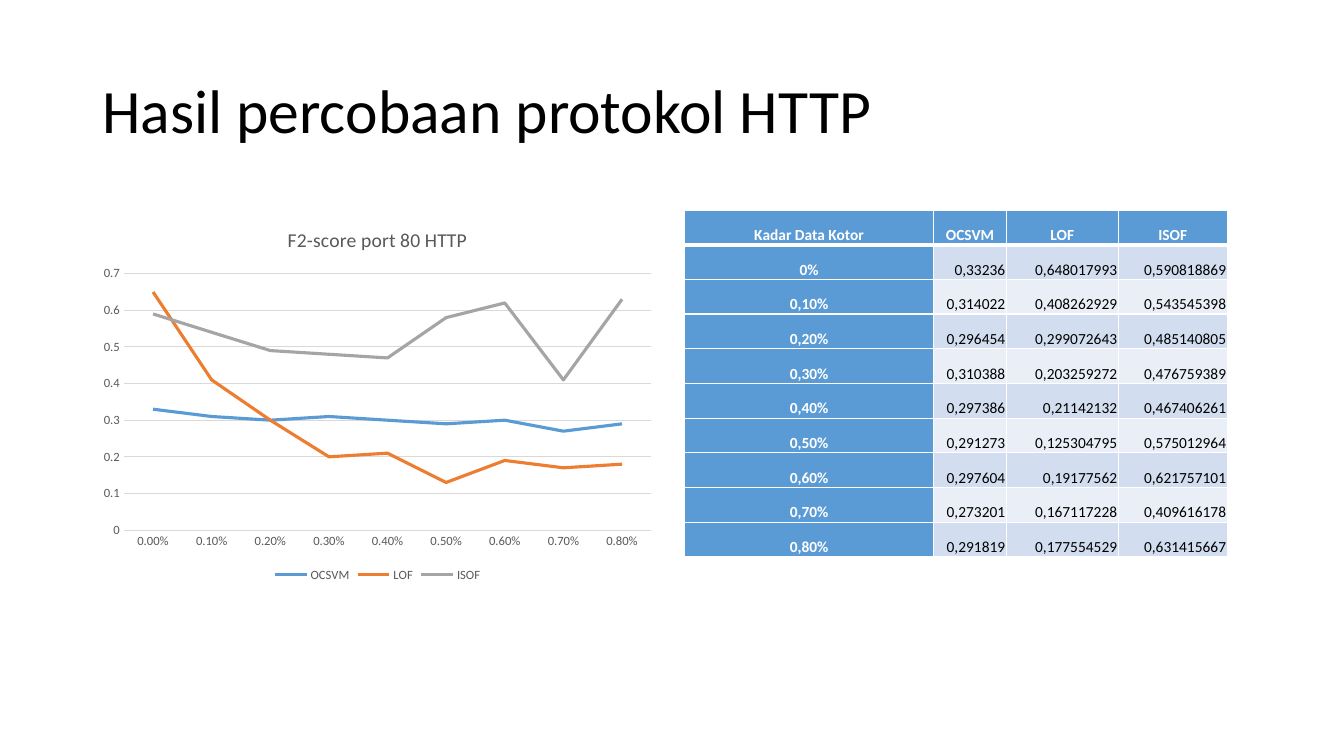
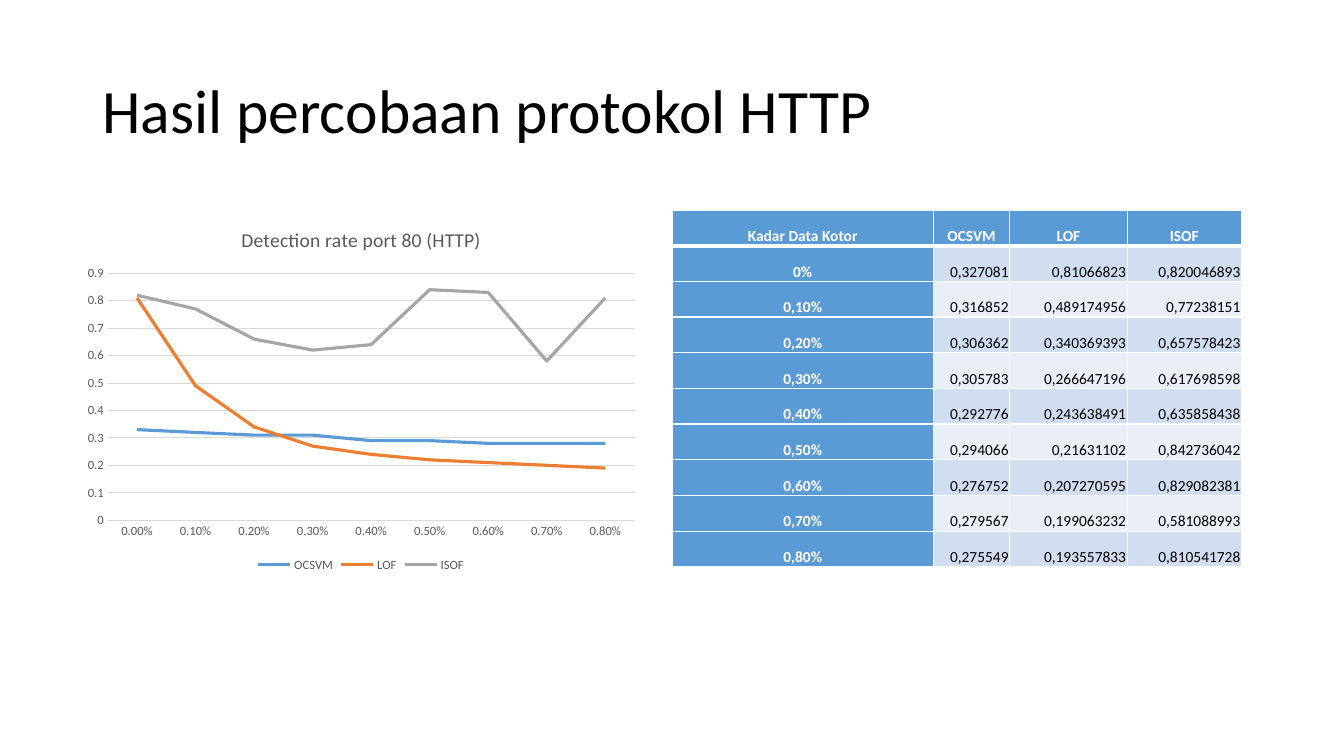
import pptx
import pptx.chart.data
import pptx.dml.color
import pptx.enum.chart
import pptx.enum.text
import pptx.oxml
import pptx.oxml.ns
import pptx.util

RGBColor = pptx.dml.color.RGBColor
BLACK = RGBColor(0x00, 0x00, 0x00)
WHITE = RGBColor(0xFF, 0xFF, 0xFF)
GREY_TEXT = RGBColor(0x59, 0x59, 0x59)
GREY_LINE = RGBColor(0xD9, 0xD9, 0xD9)
BLUE = RGBColor(0x5B, 0x9B, 0xD5)
ORANGE = RGBColor(0xED, 0x7D, 0x31)
GREY = RGBColor(0xA5, 0xA5, 0xA5)
BANDS = (RGBColor(0xD2, 0xDE, 0xEF), RGBColor(0xEA, 0xEF, 0xF7))

FONT = "Calibri"
SLIDE_WIDTH = pptx.util.Inches(13.33)
SLIDE_HEIGHT = pptx.util.Inches(7.5)
GRID_COLUMNS, GRID_ROWS = 160, 90

TITLE = "Hasil percobaan protokol HTTP"
TITLE_BOX = (11, 4.8, 138, 17.4)
METHODS = {"OCSVM": BLUE, "LOF": ORANGE, "ISOF": GREY}
HEADINGS = ("Kadar Data Kotor", *METHODS)
COLUMN_WEIGHTS = (2.47, 0.72, 1.11, 1.08)
LEVELS = ("0%", "0,10%", "0,20%", "0,30%", "0,40%", "0,50%", "0,60%", "0,70%", "0,80%")

# Boxes are left, top, width, height in grid units; scores follow the order of METHODS.
RESULTS = (
    {
        "chart_title": "F2-score port 80 HTTP",
        "chart_box": (11, 25, 67.9, 44.8),
        "table_box": (81.5, 25, 64.6, 41.3),
        "scores": (
            ("0,33236", "0,648017993", "0,590818869"),
            ("0,314022", "0,408262929", "0,543545398"),
            ("0,296454", "0,299072643", "0,485140805"),
            ("0,310388", "0,203259272", "0,476759389"),
            ("0,297386", "0,21142132", "0,467406261"),
            ("0,291273", "0,125304795", "0,575012964"),
            ("0,297604", "0,19177562", "0,621757101"),
            ("0,273201", "0,167117228", "0,409616178"),
            ("0,291819", "0,177554529", "0,631415667"),
        ),
    },
    {
        "chart_title": "Detection rate port 80 (HTTP)",
        "chart_box": (9.1, 25, 67.8, 43.6),
        "table_box": (80, 25, 67.8, 42.5),
        "scores": (
            ("0,327081", "0,81066823", "0,820046893"),
            ("0,316852", "0,489174956", "0,77238151"),
            ("0,306362", "0,340369393", "0,657578423"),
            ("0,305783", "0,266647196", "0,617698598"),
            ("0,292776", "0,243638491", "0,635858438"),
            ("0,294066", "0,21631102", "0,842736042"),
            ("0,276752", "0,207270595", "0,829082381"),
            ("0,279567", "0,199063232", "0,581088993"),
            ("0,275549", "0,193557833", "0,810541728"),
        ),
    },
)


def place(box):
    """Turn a box in grid units into slide lengths."""
    left, top, width, height = box
    across, down = SLIDE_WIDTH / GRID_COLUMNS, SLIDE_HEIGHT / GRID_ROWS
    return [round(length) for length in (left * across, top * down, width * across, height * down)]


def set_values(target, values):
    for name, value in values.items():
        setattr(target, name, value)


def set_font(font, size, color, bold=False):
    set_values(font, {"name": FONT, "size": pptx.util.Pt(size), "bold": bold})
    font.color.rgb = color


def set_line(line, color, width):
    line.color.rgb = color
    line.width = pptx.util.Pt(width)


def to_number(text):
    """Read a decimal-comma number, rounded for plotting; a percentage becomes a fraction."""
    number = float(text.rstrip("%").replace(",", "."))
    return round(number / 100, 3) if text.endswith("%") else round(number, 2)


def add_title(page, box):
    frame = page.shapes.add_textbox(*place(box)).text_frame
    set_values(frame, {"word_wrap": True, "vertical_anchor": pptx.enum.text.MSO_ANCHOR.MIDDLE})
    para = frame.paragraphs[0]
    para.line_spacing = 0.9
    span = para.add_run()
    span.text = TITLE
    set_font(span.font, 44, BLACK)


def add_score_chart(page, box, title, scores):
    data = pptx.chart.data.CategoryChartData()
    data.categories = [to_number(level) for level in LEVELS]
    data.categories.number_format = "0.00%"
    for name, column in zip(METHODS, zip(*scores)):
        data.add_series(name, [to_number(score) for score in column])
    chart = page.shapes.add_chart(pptx.enum.chart.XL_CHART_TYPE.LINE, *place(box), data).chart
    set_font(chart.font, 10, BLACK)

    para = chart.chart_title.text_frame.paragraphs[0]
    span = para.add_run()
    span.text = title
    set_font(span.font, 14, GREY_TEXT)

    chart.has_legend = True
    set_values(chart.legend, {
        "position": pptx.enum.chart.XL_LEGEND_POSITION.BOTTOM,
        "include_in_layout": False,
    })
    set_font(chart.legend.font, 9, GREY_TEXT)

    for axis, number_format in ((chart.category_axis, "0.00%"), (chart.value_axis, "General")):
        axis.major_tick_mark = axis.minor_tick_mark = pptx.enum.chart.XL_TICK_MARK.NONE
        set_values(axis.tick_labels, {
            "number_format": number_format,
            "number_format_is_linked": False,
        })
        set_font(axis.tick_labels.font, 9, GREY_TEXT)
    set_line(chart.category_axis.format.line, GREY_LINE, 0.75)
    chart.value_axis.format.line.fill.background()
    set_line(chart.value_axis.major_gridlines.format.line, GREY_LINE, 0.75)

    chart.plots[0].vary_by_categories = False
    for series, color in zip(chart.plots[0].series, METHODS.values()):
        series.smooth = False
        set_line(series.format.line, color, 2.25)


def add_borders(cell, widths):
    """Draw white cell borders; widths maps the sides L, R, T, B to points."""
    properties = cell._tc.get_or_add_tcPr()
    for side, width in widths.items():
        properties.append(pptx.oxml.parse_xml(
            f'<a:ln{side} {pptx.oxml.ns.nsdecls("a")} w="{pptx.util.Pt(width)}">'
            f'<a:solidFill><a:srgbClr val="{WHITE}"/></a:solidFill></a:ln{side}>'
        ))


def fill_cell(cell, text, fill, color, align, bold, borders):
    edge = pptx.util.Inches(0.01)
    set_values(cell, {
        "margin_left": edge,
        "margin_top": edge,
        "margin_right": edge,
        "margin_bottom": 0,
        "vertical_anchor": pptx.enum.text.MSO_ANCHOR.BOTTOM,
    })
    add_borders(cell, borders)
    cell.fill.solid()
    cell.fill.fore_color.rgb = fill
    para = cell.text_frame.paragraphs[0]
    para.alignment = align
    span = para.add_run()
    span.text = text
    set_font(span.font, 11, color, bold)


def add_score_table(page, box, scores):
    rows = [HEADINGS, *((level, *row) for level, row in zip(LEVELS, scores))]
    left, top, width, height = place(box)
    table = page.shapes.add_table(len(rows), len(HEADINGS), left, top, width, height).table
    for column, weight in zip(table.columns, COLUMN_WEIGHTS):
        column.width = round(width * weight / sum(COLUMN_WEIGHTS))
    for row_index, row in enumerate(rows):
        table.rows[row_index].height = round(height / len(rows))
        borders = {"L": 1, "R": 1, "T": 3 if row_index == 1 else 1, "B": 3 if row_index == 0 else 1}
        for column_index, text in enumerate(row):
            is_heading = row_index == 0 or column_index == 0
            align = pptx.enum.text.PP_ALIGN.CENTER if is_heading else pptx.enum.text.PP_ALIGN.RIGHT
            fill = BLUE if is_heading else BANDS[(row_index - 1) % 2]
            color = WHITE if is_heading else BLACK
            cell = table.cell(row_index, column_index)
            fill_cell(cell, text, fill, color, align, is_heading, borders)


def add_result_slide(deck, result):
    page = deck.slides.add_slide(deck.slide_layouts[6])
    add_title(page, TITLE_BOX)
    add_score_chart(page, result["chart_box"], result["chart_title"], result["scores"])
    add_score_table(page, result["table_box"], result["scores"])


def main():
    deck = pptx.Presentation()
    set_values(deck, {"slide_width": SLIDE_WIDTH, "slide_height": SLIDE_HEIGHT})
    for result in RESULTS:
        add_result_slide(deck, result)
    deck.save("out.pptx")


if __name__ == "__main__":
    main()
